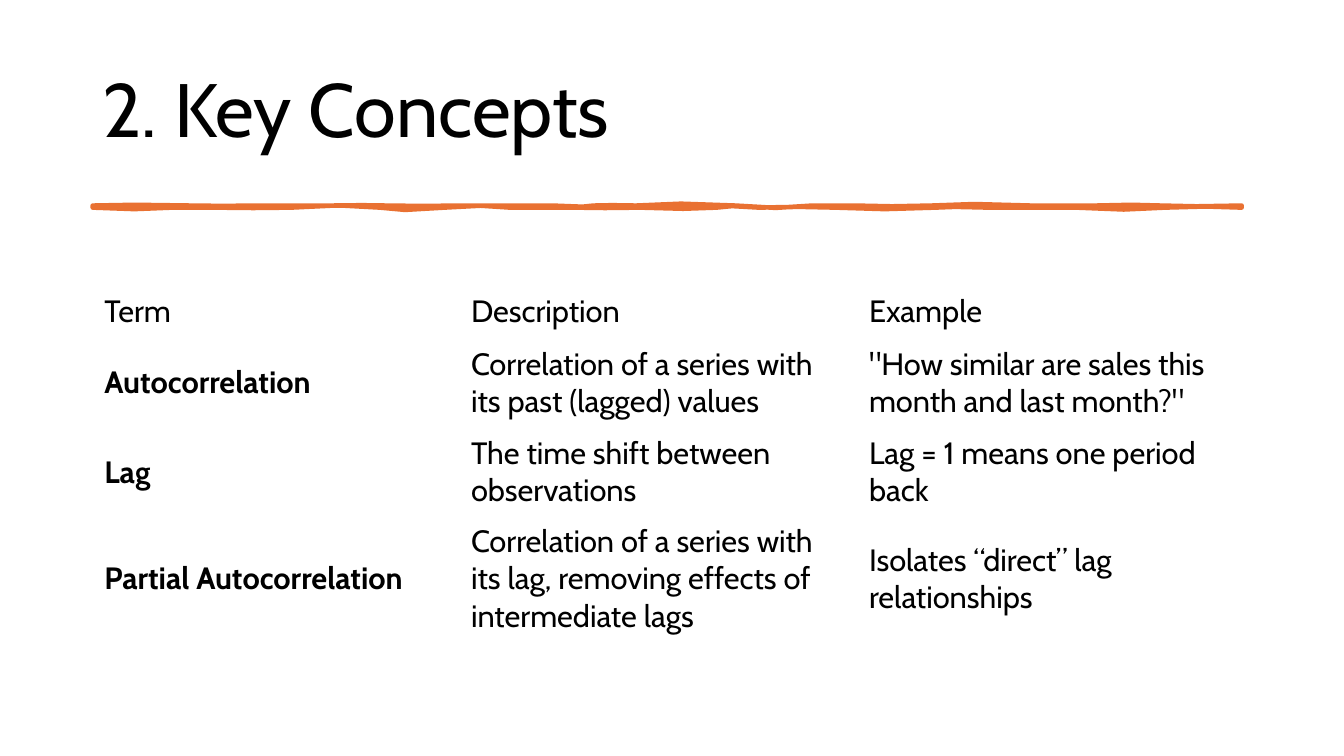
from pptx import Presentation
from pptx.dml.color import RGBColor
from pptx.enum.text import MSO_ANCHOR
from pptx.util import Cm, Pt

MIDDLE = MSO_ANCHOR.MIDDLE
FONT = "Cabin"
COLORS = {"text": "000000", "rule": "E97132"}

TITLE = "2. Key Concepts"
ROWS = [
    ("Term", "Description", "Example"),
    ("Autocorrelation",
     "Correlation of a series with its past (lagged) values",
     '"How similar are sales this month and last month?"'),
    ("Lag",
     "The time shift between observations",
     "Lag = 1 means one period back"),
    ("Partial Autocorrelation",
     "Correlation of a series with its lag, removing effects of intermediate lags",
     "Isolates “direct” lag relationships"),
]
WIDTHS = (9.24, 10.03, 9.94)
HEIGHTS = (1.35, 2.25, 2.25, 3.14)

# Brush rule in hundredths of an inch: a start point, then Bezier curves
# of two control points and an end point each.
START = (92, 204)
CURVES = [
    (119, 204, 144, 202, 190, 204), (237, 206, 220, 203, 244, 204),
    (267, 205, 303, 203, 331, 204), (360, 205, 359, 202, 384, 204),
    (410, 206, 423, 203, 460, 204), (498, 205, 514, 203, 548, 204),
    (581, 205, 581, 206, 589, 204), (598, 202, 615, 205, 631, 204),
    (647, 203, 701, 200, 730, 204), (759, 208, 781, 206, 806, 204),
    (831, 202, 827, 206, 848, 204), (868, 202, 901, 208, 924, 204),
    (947, 200, 982, 204, 1023, 204), (1063, 204, 1063, 204, 1087, 204),
    (1112, 204, 1136, 202, 1152, 204), (1168, 206, 1203, 204, 1232, 204),
    (1232, 205, 1232, 205, 1232, 206),
    (1205, 206, 1189, 203, 1156, 206), (1122, 209, 1110, 208, 1068, 206),
    (1027, 204, 1023, 208, 981, 206), (939, 204, 952, 206, 928, 206),
    (904, 206, 851, 210, 829, 206), (806, 202, 782, 208, 753, 206),
    (724, 204, 725, 204, 711, 206), (698, 208, 661, 207, 635, 206),
    (609, 205, 590, 208, 570, 206), (551, 204, 528, 208, 506, 206),
    (483, 204, 473, 203, 441, 206), (409, 209, 390, 209, 377, 206),
    (363, 203, 310, 203, 289, 206), (268, 209, 235, 204, 213, 206),
    (192, 208, 189, 204, 171, 206), (154, 208, 114, 208, 92, 206),
]
STEPS = 2
UNIT = Cm(2.54) / 100


def style(para, size):
    font = para.font
    font.name, font.size = FONT, Pt(size)
    font.color.rgb = RGBColor.from_string(COLORS["text"])


def trace(start, curves):
    """Return points along a chain of cubic Bezier curves, in EMU."""
    points = [start]
    for x1, y1, x2, y2, x3, y3 in curves:
        x0, y0 = points[-1]
        for step in range(1, STEPS + 1):
            t = step / STEPS
            u = 1 - t
            a, b, c, d = u**3, 3 * u * u * t, 3 * u * t * t, t**3
            points.append((a * x0 + b * x1 + c * x2 + d * x3,
                           a * y0 + b * y1 + c * y2 + d * y3))
    return [(x * UNIT, y * UNIT) for x, y in points]


def add_title(slide):
    box = slide.shapes.add_textbox(Cm(2.33), Cm(1.01), Cm(29.21), Cm(3.68))
    frame = box.text_frame
    frame.word_wrap = True
    frame.vertical_anchor = MIDDLE
    para = frame.paragraphs[0]
    para.text = TITLE
    para.line_spacing = 0.9
    style(para, 54)


def add_rule(slide):
    points = trace(START, CURVES)
    pen = slide.shapes.build_freeform(*points[0], scale=1.0)
    pen.add_line_segments(points[1:], close=True)
    rule = pen.convert_to_shape()
    rule.shadow.inherit = False
    color = RGBColor.from_string(COLORS["rule"])
    rule.fill.solid()
    rule.fill.fore_color.rgb = color
    rule.line.color.rgb = color
    rule.line.width = Pt(3.25)


def add_terms(slide):
    table = slide.shapes.add_table(
        len(ROWS), len(WIDTHS), Cm(2.33), Cm(7.17),
        Cm(sum(WIDTHS)), Cm(sum(HEIGHTS))).table
    table.first_row = table.horz_banding = False
    for col, width in zip(table.columns, WIDTHS):
        col.width = Cm(width)
    for r, (texts, height) in enumerate(zip(ROWS, HEIGHTS)):
        table.rows[r].height = Cm(height)
        for c, text in enumerate(texts):
            cell = table.cell(r, c)
            cell.fill.background()
            cell.vertical_anchor = MIDDLE
            cell.margin_left = cell.margin_right = Cm(0.3)
            cell.margin_top = cell.margin_bottom = Cm(0.15)
            para = cell.text_frame.paragraphs[0]
            para.text = text
            style(para, 22)
            para.font.bold = r > 0 and c == 0


def main():
    deck = Presentation()
    deck.slide_width, deck.slide_height = Cm(33.87), Cm(19.05)
    slide = deck.slides.add_slide(deck.slide_layouts[6])
    add_title(slide)
    add_rule(slide)
    add_terms(slide)
    deck.save("out.pptx")


if __name__ == "__main__":
    main()
